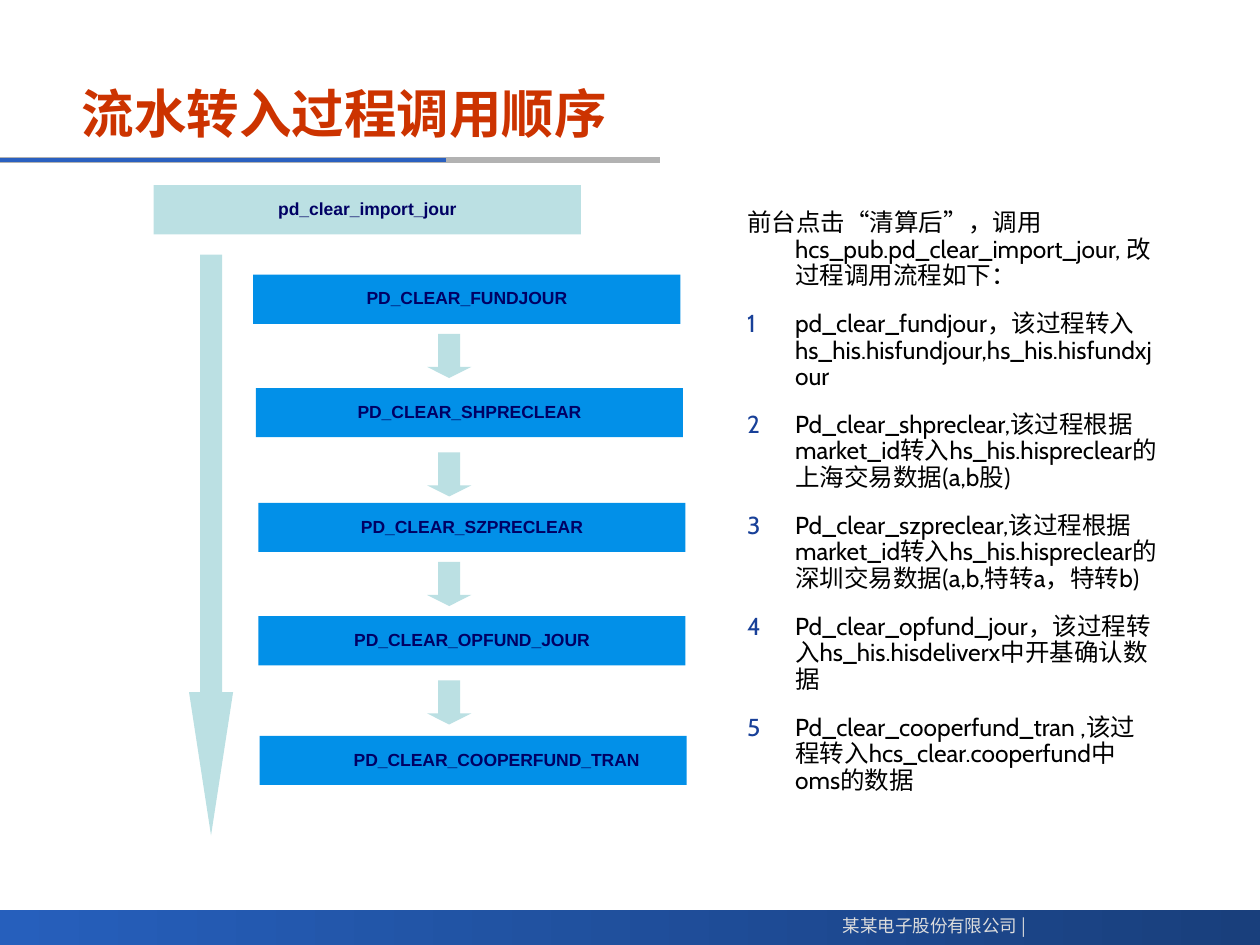
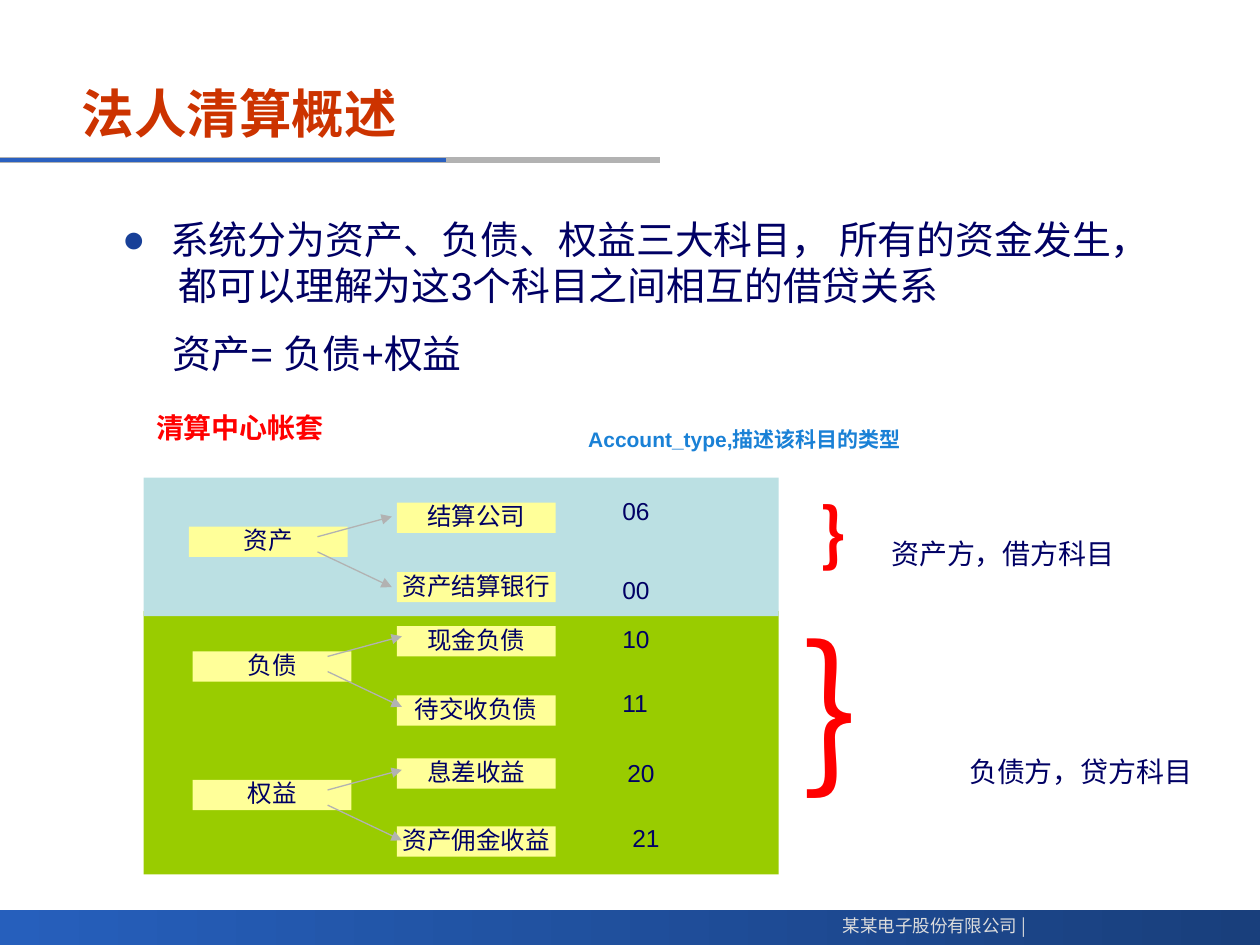
from lxml import etree
from pptx import Presentation
from pptx.dml.color import RGBColor
from pptx.enum.shapes import MSO_CONNECTOR, MSO_SHAPE
from pptx.enum.text import MSO_ANCHOR, MSO_AUTO_SIZE, PP_ALIGN
from pptx.oxml.ns import qn
from pptx.util import Inches, Pt

RECTANGLE = MSO_SHAPE.RECTANGLE
DOWN_ARROW = MSO_SHAPE.DOWN_ARROW
STRAIGHT = MSO_CONNECTOR.STRAIGHT
TOP, MIDDLE = MSO_ANCHOR.TOP, MSO_ANCHOR.MIDDLE
LEFT, CENTER, RIGHT = PP_ALIGN.LEFT, PP_ALIGN.CENTER, PP_ALIGN.RIGHT
NO_AUTOFIT = MSO_AUTO_SIZE.NONE

BLACK = RGBColor(0x00, 0x00, 0x00)
NAVY = RGBColor(0x00, 0x00, 0x64)
RED = RGBColor(0xFF, 0x00, 0x00)
TITLE_RED = RGBColor(0xCC, 0x33, 0x00)
PALE_TEAL = RGBColor(0xBB, 0xE0, 0xE3)
STEP_BLUE = RGBColor(0x02, 0x90, 0xE8)
NOTE_BLUE = RGBColor(0x1A, 0x81, 0xD6)
RULE_BLUE = RGBColor(0x2A, 0x60, 0xC0)
BAND_LIGHT = RGBColor(0x26, 0x5F, 0xBC)
BAND_DARK = RGBColor(0x19, 0x3F, 0x7C)
GRAY = RGBColor(0xB2, 0xB2, 0xB2)
FOOTER_GRAY = RGBColor(0xDD, 0xDD, 0xDD)
GREEN = RGBColor(0x99, 0xCC, 0x00)
YELLOW = RGBColor(0xFF, 0xFF, 0x99)
BULLET_COLOR = "184098"

LATIN, LIST_FONT, CHINESE = "Arial", "Cabin", "Noto Sans CJK SC"
HANGING = 0.38

FLOW_STEPS = [
    ("PD_CLEAR_FUNDJOUR", 2.01, 2.18),
    ("PD_CLEAR_SHPRECLEAR", 2.03, 3.08),
    ("PD_CLEAR_SZPRECLEAR", 2.05, 3.99),
    ("PD_CLEAR_OPFUND_JOUR", 2.05, 4.89),
]
FLOW_ARROW_TOPS = [2.65, 3.59, 4.46, 5.4]
FLOW_INTRO = "前台点击“清算后”，调用hcs_pub.pd_clear_import_jour, 改过程调用流程如下："
FLOW_NOTES = [
    "pd_clear_fundjour，该过程转入hs_his.hisfundjour,hs_his.hisfundxjour",
    "Pd_clear_shpreclear,该过程根据market_id转入hs_his.hispreclear的上海交易数据(a,b股)",
    "Pd_clear_szpreclear,该过程根据market_id转入hs_his.hispreclear的深圳交易数据(a,b,特转a，特转b)",
    "Pd_clear_opfund_jour，该过程转入hs_his.hisdeliverx中开基确认数据",
    "Pd_clear_cooperfund_tran ,该过程转入hcs_clear.cooperfund中oms的数据",
]

SUBJECTS = [
    ("资产", 1.5, 4.18, (2.52, 4.26), [("结算公司", 3.99), ("资产结算银行", 4.54)]),
    ("负债", 1.53, 5.17, (2.6, 5.21), [("现金负债", 4.97), ("待交收负债", 5.52)]),
    ("权益", 1.53, 6.19, (2.6, 6.27), [("息差收益", 6.02), ("资产佣金收益", 6.56)]),
]
ACCOUNT_TYPES = [
    ("06", 4.84, 3.91), ("00", 4.84, 4.54), ("10", 4.84, 4.93),
    ("11", 4.84, 5.44), ("20", 4.88, 5.99), ("21", 4.92, 6.51),
]


def add_span(para, text, size, color, bold=False, font=LATIN):
    span = para.add_run()
    span.text = text
    span.font.name = font
    span.font.size = Pt(size)
    span.font.bold = bold
    span.font.color.rgb = color
    east_asian = etree.SubElement(span._r.get_or_add_rPr(), qn("a:ea"))
    east_asian.set("typeface", CHINESE)


def set_bullet(para, margin=0.0, hanging=0.0, tag="a:buNone", **attributes):
    properties = para._p.get_or_add_pPr()
    properties.set("marL", str(Inches(margin)))
    properties.set("indent", str(-Inches(hanging)))
    if tag != "a:buNone":
        color = etree.SubElement(properties, qn("a:buClr"))
        etree.SubElement(color, qn("a:srgbClr")).set("val", BULLET_COLOR)
    bullet = etree.SubElement(properties, qn(tag))
    for name, value in attributes.items():
        bullet.set(name, value)


def space_para(para, before, after, line=None):
    para.space_before = Pt(before)
    para.space_after = Pt(after)
    if line:
        para.line_spacing = line


def place(shape, left, top, width, height):
    shape.left, shape.top = Inches(left), Inches(top)
    shape.width, shape.height = Inches(width), Inches(height)


def add_block(page, kind, left, top, width, height, color=None):
    block = page.shapes.add_shape(
        kind, Inches(left), Inches(top), Inches(width), Inches(height))
    block.shadow.inherit = False
    block.line.fill.background()
    if color is not None:
        block.fill.solid()
        block.fill.fore_color.rgb = color
    return block


def add_label_block(page, text, left, top, width, height, color, size, bold=False):
    block = add_block(page, RECTANGLE, left, top, width, height, color)
    frame = block.text_frame
    frame.word_wrap = False
    frame.vertical_anchor = MIDDLE
    para = frame.paragraphs[0]
    para.alignment = CENTER
    space_para(para, 0, size / 4, 0.9)
    add_span(para, text, size, NAVY, bold)
    return block


def add_step(page, text, left, top, color=STEP_BLUE):
    return add_label_block(page, text, left, top, 3.39, 0.39, color, 10, True)


def add_subject(page, text, left, top):
    add_label_block(page, text, left, top, 1.26, 0.24, YELLOW, 14)


def add_down_arrow(page, left, top, height, head_ratio):
    arrow = add_block(page, DOWN_ARROW, left, top, 0.35, height, PALE_TEAL)
    arrow.adjustments[0] = 0.5
    arrow.adjustments[1] = head_ratio


def add_line(page, start, end, color, width, arrow=False):
    line = page.shapes.add_connector(
        STRAIGHT, *(Inches(value) for value in (*start, *end)))
    line.line.color.rgb = color
    line.line.width = Pt(width)
    if arrow:
        etree.SubElement(line.line._get_or_add_ln(), qn("a:tailEnd")).set("type", "triangle")
    etree.SubElement(line._element.spPr, qn("a:effectLst"))


def add_text(page, left, top, width, height, spans, wrap=True, align=LEFT):
    box = page.shapes.add_textbox(
        Inches(left), Inches(top), Inches(width), Inches(height))
    box.text_frame.word_wrap = wrap
    para = box.text_frame.paragraphs[0]
    para.alignment = align
    space_para(para, 0, 0, 0.9)
    for span in spans:
        add_span(para, *span)


def add_page(deck, title):
    page = deck.slides.add_slide(deck.slide_layouts[1])
    band = add_block(page, RECTANGLE, 0, 7.22, 10, 0.28)
    band.fill.gradient()
    band.fill.gradient_angle = 0
    for stop, color in zip(band.fill.gradient_stops, (BAND_LIGHT, BAND_DARK)):
        stop.color.rgb = color
    add_line(page, (0, 1.27), (5.24, 1.27), GRAY, 3)
    add_line(page, (0, 1.27), (3.54, 1.27), RULE_BLUE, 2.25)
    add_text(page, 6.53, 7.23, 1.71, 0.27,
             [("某某电子股份有限公司 |", 10, FOOTER_GRAY, False, CHINESE)], False, RIGHT)

    heading = page.shapes.title
    place(heading, 0.55, 0.56, 6.92, 0.67)
    frame = heading.text_frame
    frame.auto_size = NO_AUTOFIT
    frame.vertical_anchor = MIDDLE
    frame.paragraphs[0].alignment = LEFT
    add_span(frame.paragraphs[0], title, 30, TITLE_RED, True)
    return page


def body_frame(page, left, top, width, height):
    body = page.placeholders[1]
    place(body, left, top, width, height)
    frame = body.text_frame
    frame.auto_size = NO_AUTOFIT
    frame.word_wrap = True
    frame.vertical_anchor = TOP
    return frame


def build_flow_page(deck):
    page = add_page(deck, "流水转入过程调用顺序")
    add_step(page, "pd_clear_import_jour", 1.22, 1.47, PALE_TEAL)
    for step in FLOW_STEPS:
        add_step(page, *step)
    last_step = add_step(page, "PD_CLEAR_COOPERFUND_TRAN", 2.06, 5.84)
    last_step.text_frame.margin_left = Inches(0.47)
    add_down_arrow(page, 1.5, 2.02, 4.61, 3.25)
    for top in FLOW_ARROW_TOPS:
        add_down_arrow(page, 3.39, top, 0.35, 0.25)

    frame = body_frame(page, 5.83, 1.62, 3.47, 5.16)
    intro = frame.paragraphs[0]
    set_bullet(intro, HANGING, HANGING)
    space_para(intro, 0, 3.5, 0.9)
    add_span(intro, FLOW_INTRO, 14, BLACK, font=LIST_FONT)
    for note in FLOW_NOTES:
        para = frame.add_paragraph()
        set_bullet(para, HANGING, HANGING, "a:buAutoNum", type="arabicPlain")
        space_para(para, 8.8, 3.5, 0.9)
        add_span(para, note, 14, BLACK, font=LIST_FONT)


def build_overview_page(deck):
    page = add_page(deck, "法人清算概述")
    frame = body_frame(page, 0.87, 1.66, 8.31, 1.69)
    frame.margin_right = Inches(0.2)
    summary = frame.paragraphs[0]
    set_bullet(summary, HANGING, HANGING, "a:buChar", char="●")
    space_para(summary, 0, 6)
    add_span(summary, "系统分为资产、负债、权益三大科目， 所有的资金发生， "
             "都可以理解为这3个科目之间相互的借贷关系", 22.2, NAVY)
    equation = frame.add_paragraph()
    set_bullet(equation, 0.4)
    space_para(equation, 6, 6)
    add_span(equation, "资产= 负债+权益", 22.2, NAVY)

    add_block(page, RECTANGLE, 1.14, 4.85, 5.04, 2.09, GREEN)
    add_block(page, RECTANGLE, 1.14, 3.79, 5.04, 1.1, PALE_TEAL)
    for name, left, top, (x, y), children in SUBJECTS:
        add_subject(page, name, left, top)
        for child, child_top in children:
            add_subject(page, child, 3.15, child_top)
        add_line(page, (x, y), (x + 0.59, y - 0.16), GRAY, 0.75, True)
        add_line(page, (x, y + 0.12), (x + 0.59, y + 0.4), GRAY, 0.75, True)
    for code, left, top in ACCOUNT_TYPES:
        add_text(page, left, top, 1.61, 0.31, [(code, 14, NAVY)])

    add_text(page, 6.42, 3.95, 3.58, 1.14,
             [("｝", 40, RED, True), ("资产方，借方科目", 16, NAVY)])
    add_text(page, 6.26, 5.01, 3.58, 1.98,
             [("｝", 96, RED), ("负债方，贷方科目", 16, NAVY)])
    add_text(page, 4.57, 3.36, 3.15, 0.28,
             [("Account_type,描述该科目的类型", 12, NOTE_BLUE, True)])
    add_text(page, 1.14, 3.24, 3.15, 0.34, [("清算中心帐套", 16, RED, True)])


def main():
    deck = Presentation()
    deck.slide_width, deck.slide_height = Inches(10), Inches(7.5)
    build_flow_page(deck)
    build_overview_page(deck)
    deck.save("out.pptx")


if __name__ == "__main__":
    main()
